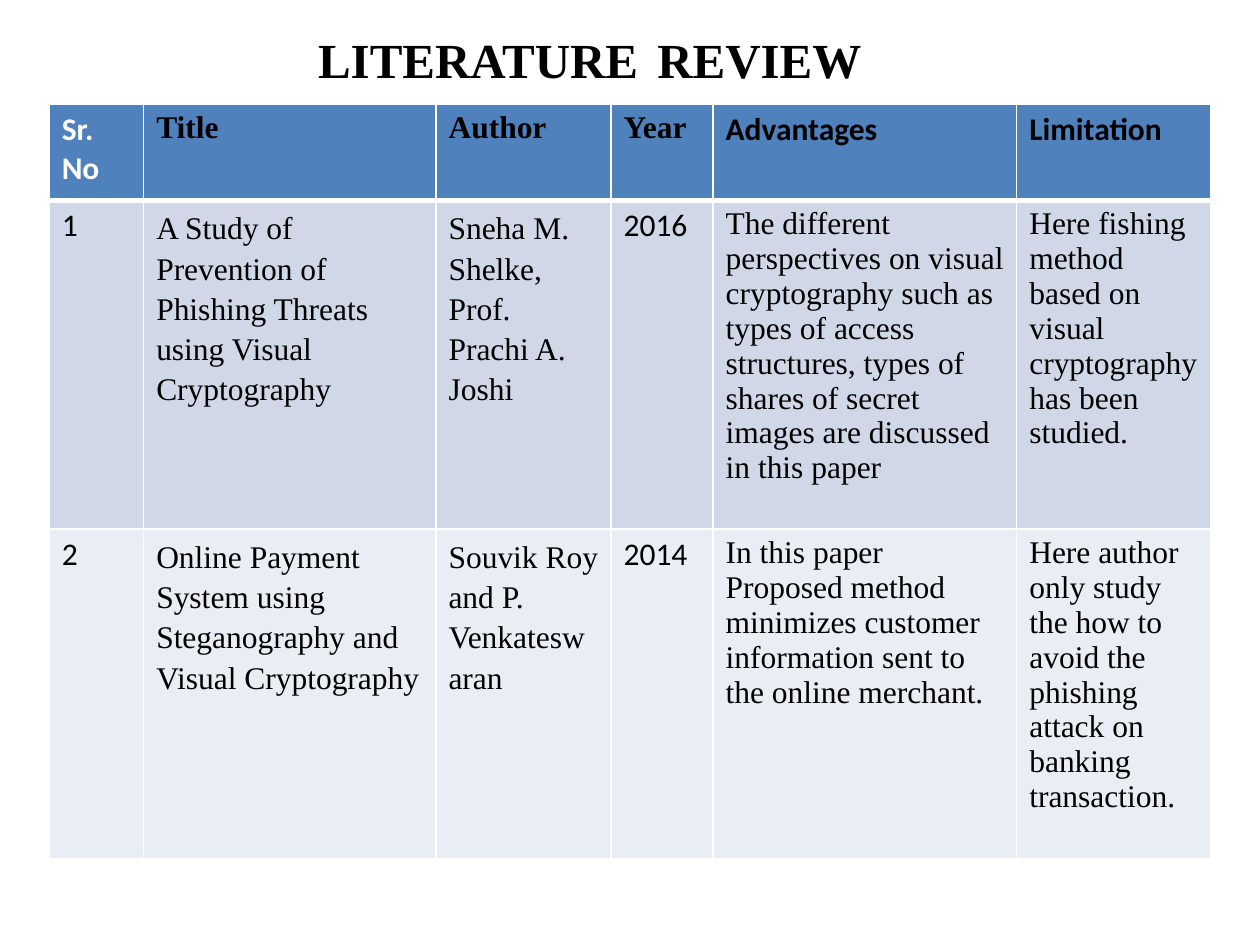
import pptx
import pptx.dml.color
import pptx.enum.text
import pptx.oxml
import pptx.oxml.ns
import pptx.util
from pptx.util import Inches

SERIF = "Times New Roman"
SANS = "Calibri"
COL_WIDTHS = [0.75, 2.32, 1.39, 0.81, 2.41, 1.54]
ROW_HEIGHTS = [0.76, 2.61, 2.62]
ROW_FILLS = ["4F81BD", "D0D8E8", "E9EDF4"]
HEADER_FONTS = [SANS, SERIF, SERIF, SERIF, SANS, SANS]
BODY_FONTS = [SANS, SERIF, SERIF, SANS, SERIF, SERIF]
SPACED_COLS = (1, 2)

ROWS = [
    ["Sr. No", "Title", "Author", "Year", "Advantages", "Limitation"],
    ["1",
     "A Study of Prevention of Phishing Threats using Visual\nCryptography",
     "Sneha M. Shelke, \nProf. Prachi A. Joshi",
     "2016",
     "The different perspectives on visual cryptography such as types of "
     "access structures, types of shares of secret images are discussed in "
     "this paper",
     "Here fishing method based on visual cryptography has been studied."],
    ["2",
     "Online Payment System using Steganography and \nVisual Cryptography",
     "Souvik Roy\nand P. Venkateswaran",
     "2014",
     "In this paper Proposed method minimizes customer information sent to "
     "the online merchant.",
     "Here author only study the how to avoid the phishing attack on "
     "banking transaction."],
]


def rgb(value):
    """Return the colour for a hex string."""
    return pptx.dml.color.RGBColor.from_string(value)


def add_run(p, text, font=SERIF, size=18, color="000000", bold=False):
    """Add a formatted run to a paragraph."""
    r = p.add_run()
    r.text = text
    r.font.name = font
    r.font.size = pptx.util.Pt(size)
    r.font.bold = bold
    r.font.color.rgb = rgb(color)


def write_text(tf, text, spacing=None, **fmt):
    """Write one paragraph for each line of text."""
    for i, line in enumerate(text.split("\n")):
        p = tf.add_paragraph() if i else tf.paragraphs[0]
        if spacing:
            p.line_spacing = spacing
        add_run(p, line, **fmt)


def set_borders(cell, top=1, bottom=1, color="FFFFFF"):
    """Draw the four borders of a cell, widths in points."""
    tc_pr = cell._tc.get_or_add_tcPr()
    for side, width in (("L", 1), ("R", 1), ("T", top), ("B", bottom)):
        tc_pr.append(pptx.oxml.parse_xml(
            f'<a:ln{side} {pptx.oxml.ns.nsdecls("a")} w="{pptx.util.Pt(width)}">'
            f'<a:solidFill><a:srgbClr val="{color}"/></a:solidFill></a:ln{side}>'))


def add_title(s):
    """Place the slide title, with a wide space between its words."""
    sp = s.shapes.title
    sp.left, sp.top = Inches(0.5), Inches(0)
    sp.width, sp.height = Inches(8.36), Inches(0.76)
    tf = sp.text_frame
    tf.vertical_anchor = pptx.enum.text.MSO_ANCHOR.MIDDLE
    p = tf.paragraphs[0]
    p.alignment = pptx.enum.text.PP_ALIGN.CENTER
    for text, size in (("LITERATURE", 28), (" ", 44), ("REVIEW", 28)):
        add_run(p, text, size=size, bold=True)


def add_review_table(s):
    """Add the table of reviewed papers."""
    table = s.shapes.add_table(
        len(ROWS), len(COL_WIDTHS), Inches(0.39), Inches(0.83),
        Inches(sum(COL_WIDTHS)), Inches(sum(ROW_HEIGHTS))).table
    for column, width in zip(table.columns, COL_WIDTHS):
        column.width = Inches(width)
    for i, texts in enumerate(ROWS):
        table.rows[i].height = Inches(ROW_HEIGHTS[i])
        header = i == 0
        fonts = HEADER_FONTS if header else BODY_FONTS
        for j, text in enumerate(texts):
            cell = table.cell(i, j)
            set_borders(cell, top=3 if i == 1 else 1, bottom=3 if header else 1)
            cell.fill.solid()
            cell.fill.fore_color.rgb = rgb(ROW_FILLS[i])
            write_text(
                cell.text_frame, text, font=fonts[j], bold=header,
                color="FFFFFF" if header and j == 0 else "000000",
                spacing=1.15 if not header and j in SPACED_COLS else None)


def main():
    """Build and save the slide."""
    prs = pptx.Presentation()
    prs.slide_width, prs.slide_height = Inches(10), Inches(7.5)
    s = prs.slides.add_slide(prs.slide_layouts[5])
    add_title(s)
    add_review_table(s)
    prs.save("out.pptx")


main()
